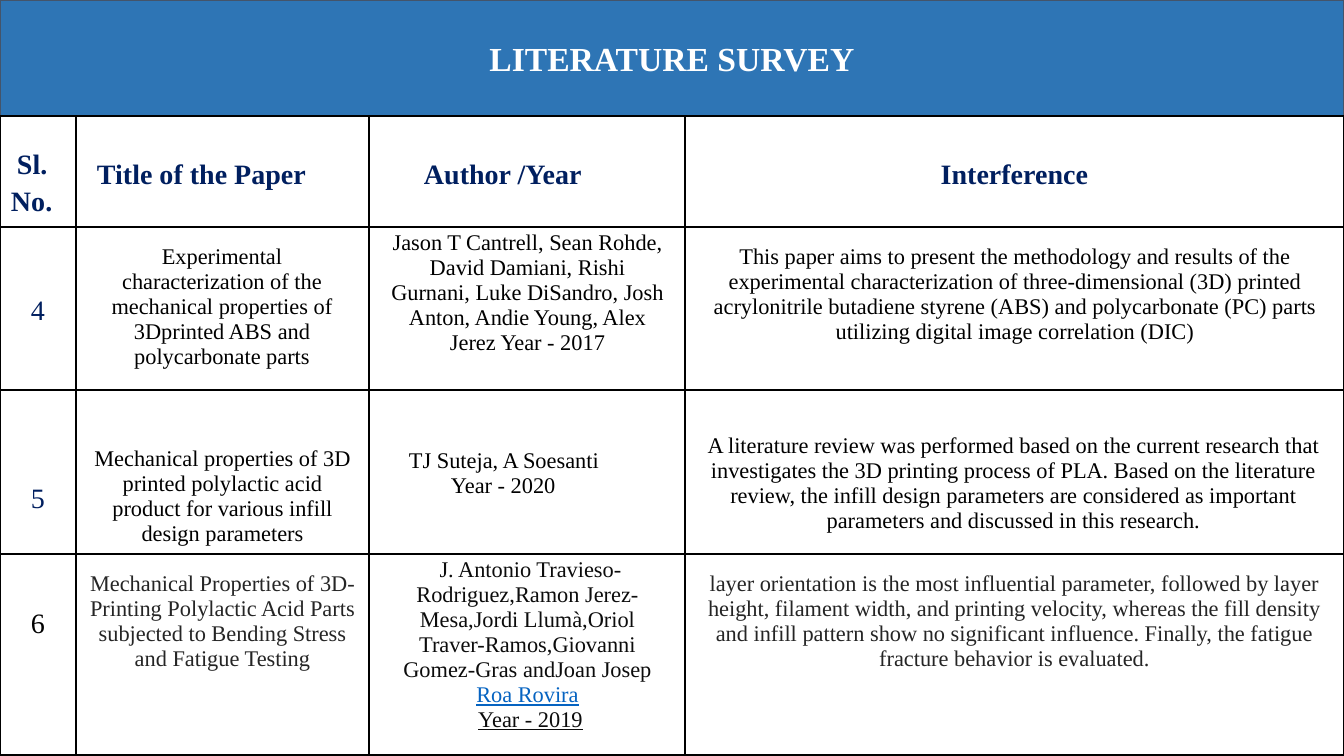
import pptx
import pptx.dml.color
import pptx.enum.shapes
import pptx.enum.text
import pptx.oxml
import pptx.oxml.ns
import pptx.util
from lxml import etree

ALIGN = pptx.enum.text.PP_ALIGN
ANCHOR = pptx.enum.text.MSO_ANCHOR
PIXELS_PER_INCH = 100.8
SLIDE_WIDTH, SLIDE_HEIGHT, BANNER_HEIGHT = 1344, 756, 116
COLUMN_WIDTHS = (76, 293, 316, 659)
ROW_HEIGHTS = (111, 163, 164, 201)


class Theme:
    font = "Times New Roman"
    banner, banner_line = "2E75B5", "44546A"
    white, black, navy = "FFFFFF", "000000", "001F5F"
    grey, ink, link = "252525", "0C0C0C", "0563C1"
    title_size, heading_size, body_size = 24, 20, 16
    line_width = 1


def px(length):
    return pptx.util.Emu(round(length * 914400 / PIXELS_PER_INCH))


def rgb(color):
    return pptx.dml.color.RGBColor.from_string(color)


def set_all(target, values):
    for name, value in values.items():
        setattr(target, name, value)


def add_run(paragraph, text, size, color, bold=False, underline=False):
    run = paragraph.add_run()
    run.text = text
    set_all(run.font, {"name": Theme.font, "size": pptx.util.Pt(size),
                       "bold": bold, "underline": underline})
    run.font.color.rgb = rgb(color)


def line(*runs, left=0, right=0, first=0, spacing=None, align=ALIGN.CENTER):
    """Describe one paragraph: its runs, indents in px, and spacing."""
    return {"runs": runs, "spacing": spacing, "align": align,
            "indents": {"marL": left, "marR": right, "indent": first}}


def heading(text, left=0, spacing=None, align=ALIGN.LEFT):
    run = (text, Theme.heading_size, Theme.navy, True)
    return line(run, left=left, spacing=spacing, align=align)


def number(text, color=Theme.navy):
    return line((text, Theme.heading_size, color))


def body(text, left, right, color=Theme.black, **layout):
    return line((text, Theme.body_size, color), left=left, right=right, **layout)


def draw_borders(cell):
    properties = cell._tc.get_or_add_tcPr()
    for side in ("lnL", "lnR", "lnT", "lnB"):
        border = etree.SubElement(properties, pptx.oxml.ns.qn("a:" + side),
                                  w=str(pptx.util.Pt(Theme.line_width)))
        fill = etree.SubElement(border, pptx.oxml.ns.qn("a:solidFill"))
        etree.SubElement(fill, pptx.oxml.ns.qn("a:srgbClr"), val=Theme.black)


def fill_cell(cell, top, lines):
    draw_borders(cell)
    cell.fill.solid()
    cell.fill.fore_color.rgb = rgb(Theme.white)
    set_all(cell, {"margin_left": 0, "margin_right": 0, "margin_bottom": 0,
                   "margin_top": px(top), "vertical_anchor": ANCHOR.TOP})
    for index, content in enumerate(lines):
        frame = cell.text_frame
        paragraph = frame.add_paragraph() if index else frame.paragraphs[0]
        set_all(paragraph, {"alignment": content["align"],
                            "line_spacing": content["spacing"]})
        properties = paragraph._p.get_or_add_pPr()
        for name, length in content["indents"].items():
            properties.set(name, str(px(length)))
        for run in content["runs"]:
            add_run(paragraph, *run)


def add_banner(slide, text):
    shape = slide.shapes.add_shape(pptx.enum.shapes.MSO_SHAPE.RECTANGLE,
                                   0, 0, px(SLIDE_WIDTH), px(BANNER_HEIGHT))
    shape.shadow.inherit = False
    shape.fill.solid()
    shape.fill.fore_color.rgb = rgb(Theme.banner)
    shape.line.color.rgb = rgb(Theme.banner_line)
    shape.line.width = pptx.util.Pt(Theme.line_width)
    set_all(shape.text_frame, {"vertical_anchor": ANCHOR.MIDDLE, "word_wrap": True})
    paragraph = shape.text_frame.paragraphs[0]
    paragraph.alignment = ALIGN.CENTER
    add_run(paragraph, text, Theme.title_size, Theme.white, True)


def add_survey_table(slide, rows):
    table = slide.shapes.add_table(
        len(ROW_HEIGHTS), len(COLUMN_WIDTHS), 0, px(BANNER_HEIGHT),
        px(sum(COLUMN_WIDTHS)), px(sum(ROW_HEIGHTS))).table
    set_all(table, {"first_row": False, "horz_banding": False})
    for column, width in zip(table.columns, COLUMN_WIDTHS):
        column.width = px(width)
    for row, height, contents in zip(table.rows, ROW_HEIGHTS, rows):
        row.height = px(height)
        for cell, (top, *lines) in zip(row.cells, contents):
            fill_cell(cell, top, lines)


# Each cell holds its top margin in px, then its paragraphs
SURVEY = [
    # Column headings
    [(27, heading("Sl.", 17, 1.2), heading("No.", 11, 1.2)),
     (43, heading("Title of the Paper", 21)),
     (43, heading("Author /Year", 55)),
     (43, heading("Interference", align=ALIGN.CENTER))],
    # Paper 4
    [(68, number("4")),
     (18, body("Experimental characterization of the mechanical properties of "
               "3Dprinted ABS and polycarbonate parts", 15, 16)),
     (4, body("Jason T Cantrell, Sean Rohde, David Damiani, Rishi Gurnani, Luke "
              "DiSandro, Josh Anton, Andie Young, Alex Jerez Year - 2017", 22, 21)),
     (18, body("This paper aims to present the methodology and results of the "
               "experimental characterization of three-dimensional (3D) printed "
               "acrylonitrile butadiene styrene (ABS) and polycarbonate (PC) parts "
               "utilizing digital image correlation (DIC)", 13, 12))],
    # Paper 5
    [(93, number("5")),
     (57, body("Mechanical properties of 3D printed polylactic acid product for "
               "various infill design parameters", 14, 14)),
     (58, body("TJ Suteja, A Soesanti Year - 2020", 82, 70, first=-42,
               spacing=1.01, align=ALIGN.LEFT)),
     (44, body("A literature review was performed based on the current research "
               "that investigates the 3D printing process of PLA. Based on the "
               "literature review, the infill design parameters are considered as "
               "important parameters and discussed in this research.", 11, 13))],
    # Paper 6
    [(55, number("6", Theme.black)),
     (18, body("Mechanical Properties of 3D-Printing Polylactic Acid Parts subjected "
               "to Bending Stress and Fatigue Testing", 13, 13, Theme.grey)),
     (4, line(("J. Antonio Travieso- Rodriguez,Ramon Jerez- Mesa,Jordi Llumà,Oriol "
               "Traver-Ramos,Giovanni Gomez-Gras andJoan Josep ",
               Theme.body_size, Theme.ink),
              ("Roa Rovira", Theme.body_size, Theme.link, False, True),
              left=16, right=15, first=6),
      line(("Year - 2019", Theme.body_size, Theme.ink, False, True),
           left=16, right=15, first=6)),
     (18, body("layer orientation is the most influential parameter, followed by "
               "layer height, filament width, and printing velocity, whereas the "
               "fill density and infill pattern show no significant influence. "
               "Finally, the fatigue fracture behavior is evaluated.",
               10, 10, Theme.grey))],
]


def main():
    presentation = pptx.Presentation()
    set_all(presentation, {"slide_width": px(SLIDE_WIDTH),
                           "slide_height": px(SLIDE_HEIGHT)})
    slide = presentation.slides.add_slide(presentation.slide_layouts[6])
    add_banner(slide, "LITERATURE SURVEY")
    add_survey_table(slide, SURVEY)
    presentation.save("out.pptx")


if __name__ == "__main__":
    main()
